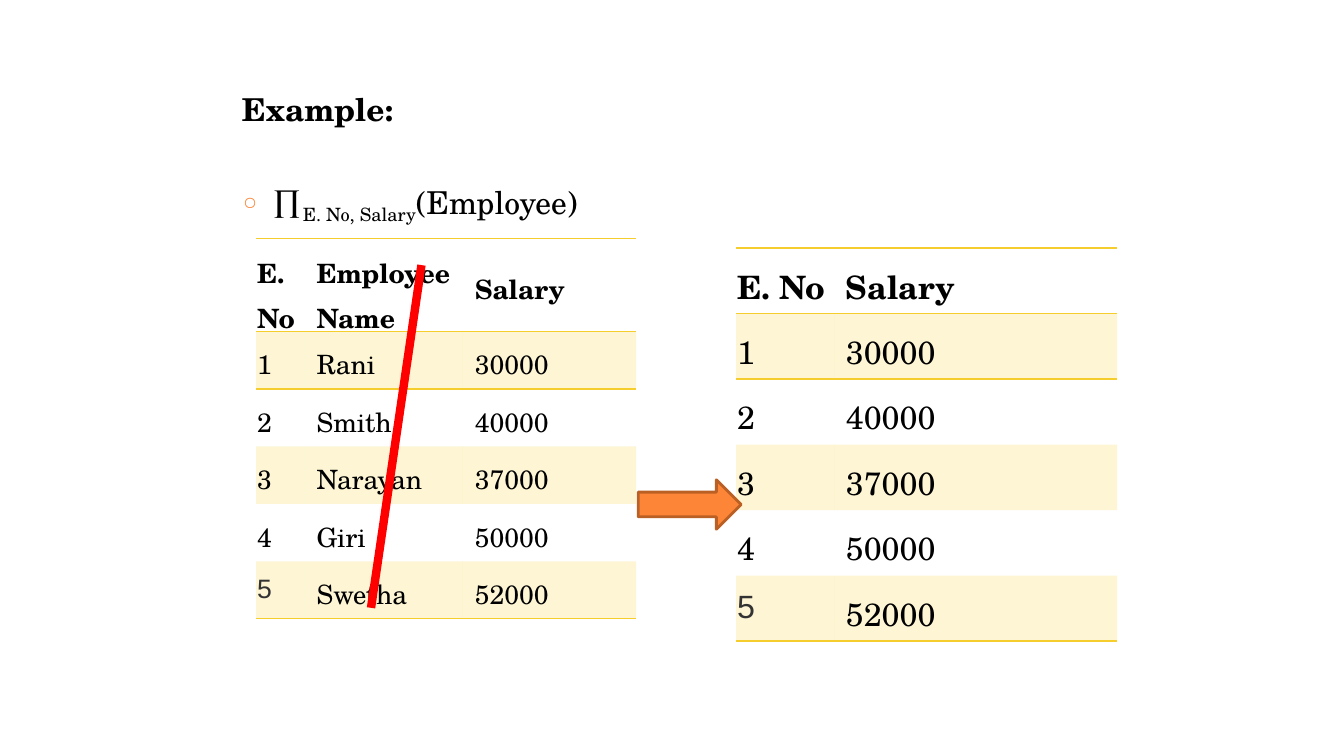
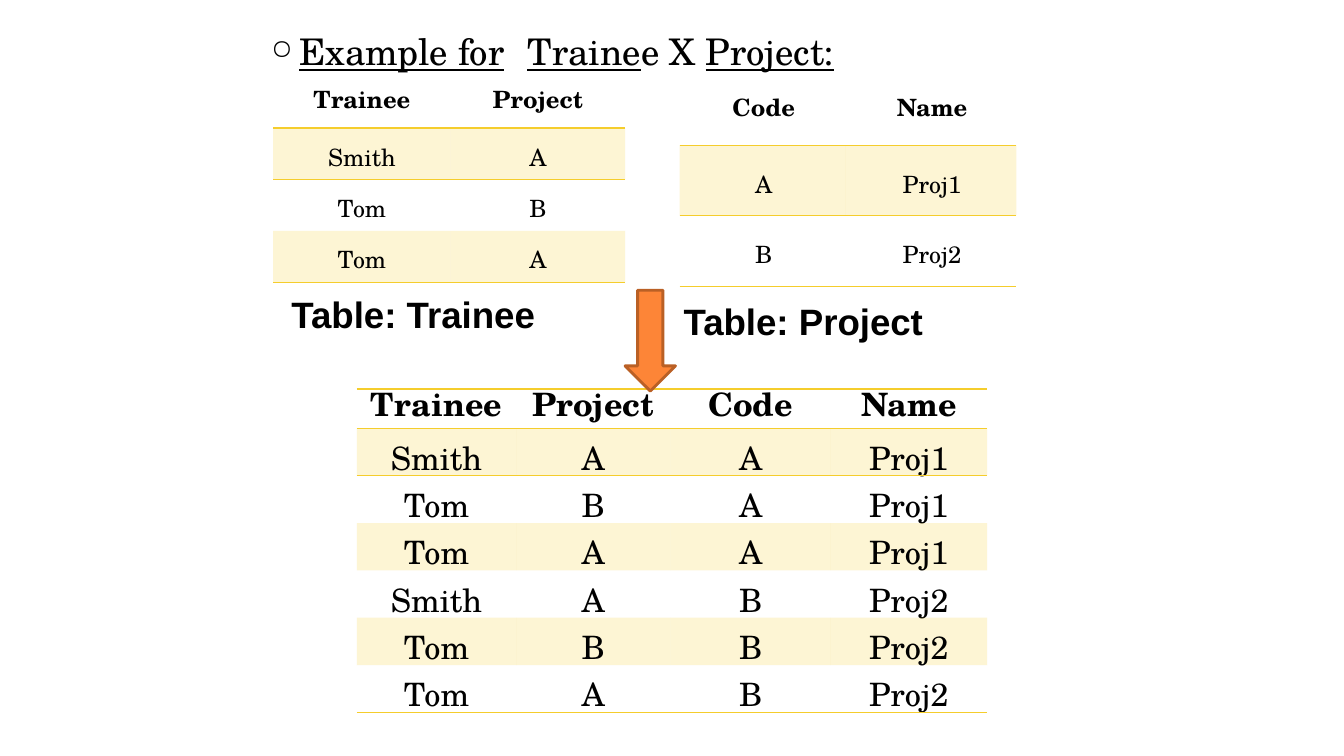
from dataclasses import dataclass

from lxml import etree
from pptx import Presentation
from pptx.dml.color import RGBColor
from pptx.enum.shapes import MSO_CONNECTOR, MSO_SHAPE
from pptx.enum.text import PP_ALIGN
from pptx.oxml.ns import qn
from pptx.util import Inches, Pt

STRAIGHT = MSO_CONNECTOR.STRAIGHT
RIGHT_ARROW = MSO_SHAPE.RIGHT_ARROW
DOWN_ARROW = MSO_SHAPE.DOWN_ARROW
LEFT = PP_ALIGN.LEFT
CENTER = PP_ALIGN.CENTER
NO_TABLE_STYLE = "{2D5ABB26-0587-4C30-8999-92F81FD0307C}"


@dataclass(frozen=True)
class Theme:
    serif: str = "TeX Gyre Schola"
    sans: str = "Arial"
    black: str = "000000"
    grey: str = "333333"
    gold: str = "F5CD2C"
    orange: str = "FD8537"
    rust: str = "BA6025"
    red: str = "FF0000"
    heading: float = 26.2
    body: float = 22.5
    table_large: float = 23
    table_medium: float = 19
    table_small: float = 17
    band_alpha: int = 20000


def rgb(value):
    return RGBColor.from_string(value)


def add_xml(parent, tag, **attrs):
    return etree.SubElement(parent, qn(tag), attrs)


class Deck:
    def __init__(self, theme):
        self.theme = theme
        self.prs = Presentation()
        self.prs.slide_width = Inches(13.33)
        self.prs.slide_height = Inches(7.5)
        self.slide = None

    def new_slide(self):
        self.slide = self.prs.slides.add_slide(self.prs.slide_layouts[6])

    def font(self, p, size, name=None, color=None, bold=False):
        p.font.size = Pt(size)
        p.font.name = name or self.theme.serif
        p.font.color.rgb = rgb(color or self.theme.black)
        p.font.bold = bold

    def text_box(self, x, y, w, h):
        sp = self.slide.shapes.add_textbox(Inches(x), Inches(y), Inches(w), Inches(h))
        tf = sp.text_frame
        tf.word_wrap = True
        tf.margin_left = tf.margin_right = tf.margin_bottom = 0
        tf.margin_top = Inches(0.01)
        return tf

    def label(self, x, y, w, text, size, name=None):
        p = self.text_box(x, y, w, 0.45).paragraphs[0]
        p.text = text
        self.font(p, size, name, bold=True)

    def bullet(self, p, color=None, percent=100, tab=None):
        pPr = p._p.get_or_add_pPr()
        pPr.set("marL", str(Inches(0.29)))
        pPr.set("indent", str(Inches(-0.28)))
        add_xml(add_xml(pPr, "a:buClr"), "a:srgbClr", val=color or self.theme.black)
        add_xml(pPr, "a:buSzPct", val=str(percent * 1000))
        add_xml(pPr, "a:buChar", char="○")
        if tab:
            add_xml(add_xml(pPr, "a:tabLst"), "a:tab", pos=str(Inches(tab)), algn="l")

    def border(self, cell, side):
        tcPr = cell._tc.get_or_add_tcPr()
        ln = add_xml(tcPr, f"a:ln{side}", w=str(Pt(1)))
        add_xml(add_xml(ln, "a:solidFill"), "a:srgbClr", val=self.theme.gold)

    def band(self, cell):
        cell.fill.solid()
        cell.fill.fore_color.rgb = rgb(self.theme.gold)
        color = cell._tc.tcPr.find(qn("a:solidFill")).find(qn("a:srgbClr"))
        add_xml(color, "a:alpha", val=str(self.theme.band_alpha))

    def table(self, x, y, widths, heights, rows, size, top, indents,
              header_top=0, header_line=None, align=CENTER, top_rule=True):
        head_h, body_h = heights
        last = len(rows) - 1
        frame = self.slide.shapes.add_table(
            len(rows), len(widths), Inches(x), Inches(y),
            Inches(sum(widths)), Inches(head_h + last * body_h))
        table = frame.table
        table._tbl.tblPr.find(qn("a:tableStyleId")).text = NO_TABLE_STYLE
        table.horz_banding = False
        for col, width in zip(table.columns, widths):
            col.width = Inches(width)
        for i, values in enumerate(rows):
            header = i == 0
            table.rows[i].height = Inches(head_h if header else body_h)
            for j, value in enumerate(values):
                cell = table.cell(i, j)
                cell.margin_left = Inches(indents[j])
                cell.margin_right = cell.margin_bottom = 0
                cell.margin_top = Inches(header_top if header else top)
                if i == 1 or (header and top_rule):
                    self.border(cell, "T")
                if i in (0, 1, last):
                    self.border(cell, "B")
                if i % 2:
                    self.band(cell)
                else:
                    cell.fill.background()
                cell.text = value
                for k, p in enumerate(cell.text_frame.paragraphs):
                    p.alignment = align
                    if header and header_line:
                        p.line_spacing = Pt(header_line)
                    if k:
                        p.space_before = Pt(3)
                    self.font(p, size, bold=header)
        return table

    def arrow(self, preset, x, y, w, h):
        sp = self.slide.shapes.add_shape(preset, Inches(x), Inches(y), Inches(w), Inches(h))
        sp.shadow.inherit = False
        sp.fill.solid()
        sp.fill.fore_color.rgb = rgb(self.theme.orange)
        sp.line.color.rgb = rgb(self.theme.rust)
        sp.line.width = Pt(2.04)

    def strike(self, x1, y1, x2, y2):
        line = self.slide.shapes.add_connector(
            STRAIGHT, Inches(x1), Inches(y1), Inches(x2), Inches(y2))
        line.line.color.rgb = rgb(self.theme.red)
        line.line.width = Pt(6)
        add_xml(line._element.spPr, "a:effectLst")


def projection_slide(deck):
    theme = deck.theme
    deck.new_slide()
    tf = deck.text_box(2.4, 0.88, 3.48, 1.34)
    p = tf.paragraphs[0]
    p.text = "Example:"
    deck.font(p, theme.body, bold=True)
    p = tf.add_paragraph()
    deck.bullet(p, theme.orange, 56)
    p.space_before = Pt(40)
    deck.font(p, theme.body)
    symbol, subscript, relation = [p.add_run() for _ in range(3)]
    symbol.text = "∏"
    symbol.font.bold = True
    subscript.text = "E. No, Salary"
    subscript._r.get_or_add_rPr().set("baseline", "-21000")
    relation.text = "(Employee)"

    employees = [("1", "Rani", "30000"), ("2", "Smith", "40000"),
                 ("3", "Narayan", "37000"), ("4", "Giri", "50000"),
                 ("5", "Swetha", "52000")]
    source = deck.table(
        2.54, 2.37, (0.49, 1.56, 1.72), (0.92, 0.57),
        [("E.\nNo", "Employee\nName", "Salary")] + employees,
        theme.table_medium, 0.13, (0.01, 0.11, 0.12), header_top=0.13, align=LEFT)
    source.cell(0, 2).margin_top = Inches(0.29)
    deck.strike(4.18, 2.63, 3.68, 6.03)
    result = deck.table(
        7.3, 2.46, (0.98, 2.8), (0.65, 0.65),
        [("E. No", "Salary")] + [(number, salary) for number, _, salary in employees],
        theme.table_large, 0.14, (0.01, 0.11), header_top=0.14, align=LEFT)
    for table, size in ((source, theme.table_medium), (result, theme.table_large)):
        p = table.cell(5, 0).text_frame.paragraphs[0]
        deck.font(p, size, theme.sans, theme.grey)
    deck.arrow(RIGHT_ARROW, 6.33, 4.76, 1.02, 0.49)


def product_slide(deck):
    theme = deck.theme
    deck.new_slide()
    p = deck.text_box(2.68, 0.28, 7.41, 0.45).paragraphs[0]
    deck.bullet(p, percent=75, tab=2.55)
    deck.font(p, theme.heading)
    for text, underlined in (("Example for", True), ("\t", False), ("Traine", True),
                             ("e X ", False), ("Project:", True)):
        r = p.add_run()
        r.text = text
        r.font.underline = underlined

    trainee_head, project_head = ("Trainee", "Project"), ("Code", "Name")
    trainees = [("Smith", "A"), ("Tom", "B"), ("Tom", "A")]
    projects = [("A", "Proj1"), ("B", "Proj2")]
    deck.table(2.71, 0.87, (1.76, 1.73), (0.4, 0.51), [trainee_head] + trainees,
               theme.table_small, 0.11, (0, 0), header_line=21.4, top_rule=False)
    deck.table(6.74, 0.95, (1.65, 1.69), (0.49, 0.7), [project_head] + projects,
               theme.table_small, 0.21, (0.02, 0.02), header_line=21.4, top_rule=False)
    deck.label(2.89, 2.89, 2.45, "Table: Trainee", theme.heading, theme.sans)
    deck.label(6.78, 2.95, 2.41, "Table: Project", theme.heading, theme.sans)
    product = [trainee + project for project in projects for trainee in trainees]
    deck.table(3.54, 3.86, (1.58, 1.53, 1.59, 1.55), (0.39, 0.47),
               [trainee_head + project_head] + product,
               theme.table_large, 0.05, (0, 0, 0, 0), header_line=27.8)
    deck.arrow(DOWN_ARROW, 6.2, 2.88, 0.5, 1)


def main():
    deck = Deck(Theme())
    projection_slide(deck)
    product_slide(deck)
    deck.prs.save("out.pptx")


if __name__ == "__main__":
    main()
